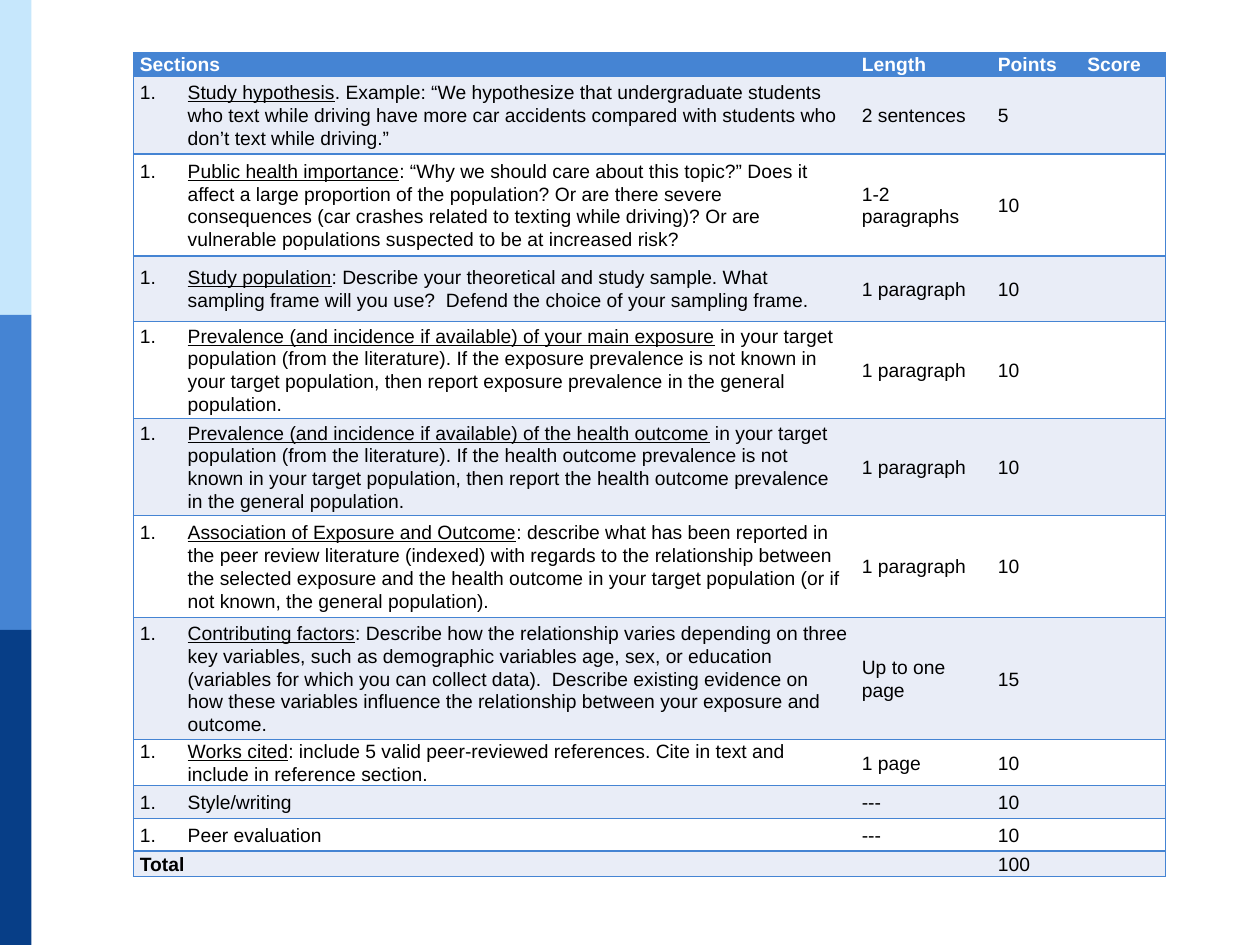
from lxml import etree
from pptx import Presentation
from pptx.dml.color import RGBColor
from pptx.enum.shapes import MSO_SHAPE
from pptx.enum.text import MSO_ANCHOR
from pptx.oxml.ns import qn
from pptx.util import Inches, Pt

RECTANGLE = MSO_SHAPE.RECTANGLE
TOP, MIDDLE = MSO_ANCHOR.TOP, MSO_ANCHOR.MIDDLE
BLUE, BAND, WHITE, BLACK = "4584D3", "E9EDF7", "FFFFFF", "000000"
SIZE = 11


def paint(fill, colour):
    fill.solid()
    fill.fore_color.rgb = RGBColor.from_string(colour)


def set_border(props, position, side, visible):
    line = etree.Element(qn("a:ln" + side), w=str(Pt(1)))
    if visible:
        solid = etree.SubElement(line, qn("a:solidFill"))
        etree.SubElement(solid, qn("a:srgbClr"), val=BLUE)
    else:
        etree.SubElement(line, qn("a:noFill"))
    props.insert(position, line)


deck = Presentation()
deck.slide_width, deck.slide_height = Inches(10), Inches(7.5)
page = deck.slides.add_slide(deck.slide_layouts[6])

# Three equal bars down the left edge
bar_width, bar_height = deck.slide_width // 40, deck.slide_height // 3
for index, colour in enumerate(["C6E7FC", BLUE, "073E87"]):
    bar = page.shapes.add_shape(RECTANGLE, 0, index * bar_height, bar_width, bar_height)
    bar.shadow.inherit = False
    paint(bar.fill, colour)
    bar.line.fill.background()

# Each row: height, underlined lead, rest of the section, length, points, score
rows = [
    (0.16, "", "Sections", "Length", "Points", "Score"),
    (0.62, "Study hypothesis",
     ". Example: “We hypothesize that undergraduate students who text while driving "
     "have more car accidents compared with students who don’t text while driving.”",
     "2 sentences", "5", ""),
    (0.81, "Public health importance",
     ": “Why we should care about this topic?” Does it affect a large proportion of the "
     "population? Or are there severe consequences (car crashes related to texting while "
     "driving)? Or are vulnerable populations suspected to be at increased risk?",
     "1-2 paragraphs", "10", ""),
    (0.52, "Study population",
     ": Describe your theoretical and study sample. What sampling frame will you use?  "
     "Defend the choice of your sampling frame.",
     "1 paragraph", "10", ""),
    (0.77, "Prevalence (and incidence if available) of your main exposure",
     " in your target population (from the literature). If the exposure prevalence is not "
     "known in your target population, then report exposure prevalence in the general "
     "population.",
     "1 paragraph", "10", ""),
    (0.77, "Prevalence (and incidence if available) of the health outcome",
     " in your target population (from the literature). If the health outcome prevalence is "
     "not known in your target population, then report the health outcome prevalence in the "
     "general population.",
     "1 paragraph", "10", ""),
    (0.81, "Association of Exposure and Outcome",
     ": describe what has been reported in the peer review literature (indexed) with regards "
     "to the relationship between the selected exposure and the health outcome in your "
     "target population (or if not known, the general population).",
     "1 paragraph", "10", ""),
    (0.97, "Contributing factors",
     ": Describe how the relationship varies depending on three key variables, such as "
     "demographic variables age, sex, or education (variables for which you can collect "
     "data).  Describe existing evidence on how these variables influence the relationship "
     "between your exposure and outcome.",
     "Up to one page", "15", ""),
    (0.36, "Works cited",
     ": include 5 valid peer-reviewed references. Cite in text and include in reference "
     "section.",
     "1 page", "10", ""),
    (0.26, "", "Style/writing", "---", "10", ""),
    (0.26, "", "Peer evaluation", "---", "10", ""),
    (0.2, "", "Total", "", "100", ""),
]
column_widths = [5.73, 1.08, 0.71, 0.67]
last_row, last_column = len(rows) - 1, len(column_widths) - 1

# Grading table
frame = page.shapes.add_table(
    len(rows), len(column_widths), Inches(1.06), Inches(0.42),
    Inches(sum(column_widths)), Inches(sum(row[0] for row in rows)))
table = frame.table
table.first_row = table.horz_banding = False
for column, width in zip(table.columns, column_widths):
    column.width = Inches(width)

cell_format = {"margin_left": Inches(0.05), "margin_right": Inches(0.05),
               "margin_top": 0, "margin_bottom": 0}

for r, (height, lead, section, *others) in enumerate(rows):
    table.rows[r].height = Inches(height)
    header = r == 0
    for c, text in enumerate([section, *others]):
        cell = table.cell(r, c)
        for name, value in cell_format.items():
            setattr(cell, name, value)
        cell.vertical_anchor = TOP if header else MIDDLE
        paint(cell.fill, BLUE if header else BAND if r % 2 else WHITE)

        # Rules between rows and around the table, none between columns
        props = cell._tc.get_or_add_tcPr()
        sides = {"L": c == 0, "R": c == last_column, "T": True, "B": True}
        for position, (side, visible) in enumerate(sides.items()):
            set_border(props, position, side, visible)

        para = cell.text_frame.paragraphs[0]
        para.line_spacing = 1.07

        # Numbered sections hang from their number
        if c == 0 and 0 < r < last_row:
            para_props = para._p.get_or_add_pPr()
            para_props.set("marL", str(Inches(0.38)))
            para_props.set("indent", str(-Inches(0.38)))
            etree.SubElement(para_props, qn("a:buFont"), typeface="+mj-lt")
            etree.SubElement(para_props, qn("a:buAutoNum"), type="arabicPeriod")

        spans = [(lead, True)] if c == 0 else []
        for words, underlined in spans + [(text, False)]:
            if not words:
                continue
            span = para.add_run()
            span.text = words
            span_format = {"name": "Arial", "size": Pt(SIZE), "underline": underlined,
                           "bold": header or (r == last_row and c == 0)}
            for name, value in span_format.items():
                setattr(span.font, name, value)
            paint(span.font.fill, WHITE if header else BLACK)
        # Keeps empty cells as low as the filled ones
        etree.SubElement(para._p, qn("a:endParaRPr"), sz=str(SIZE * 100))

deck.save("out.pptx")
